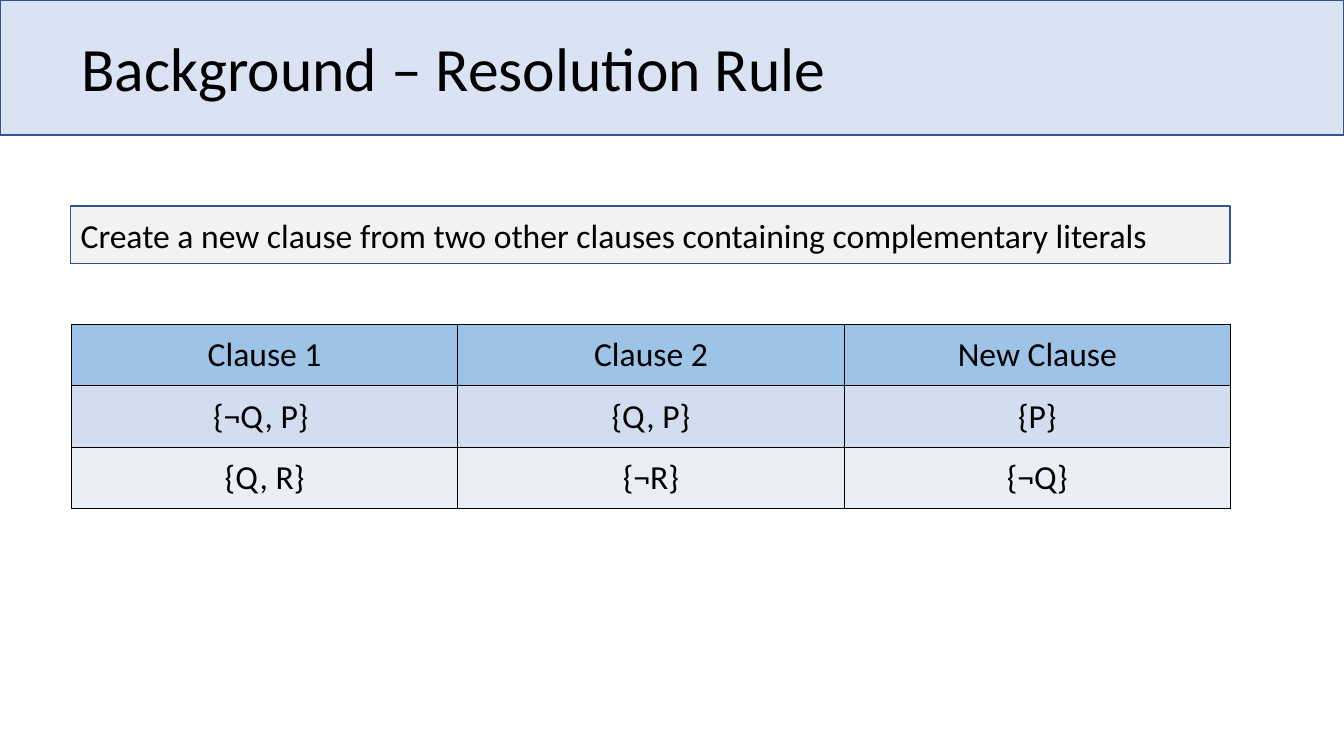
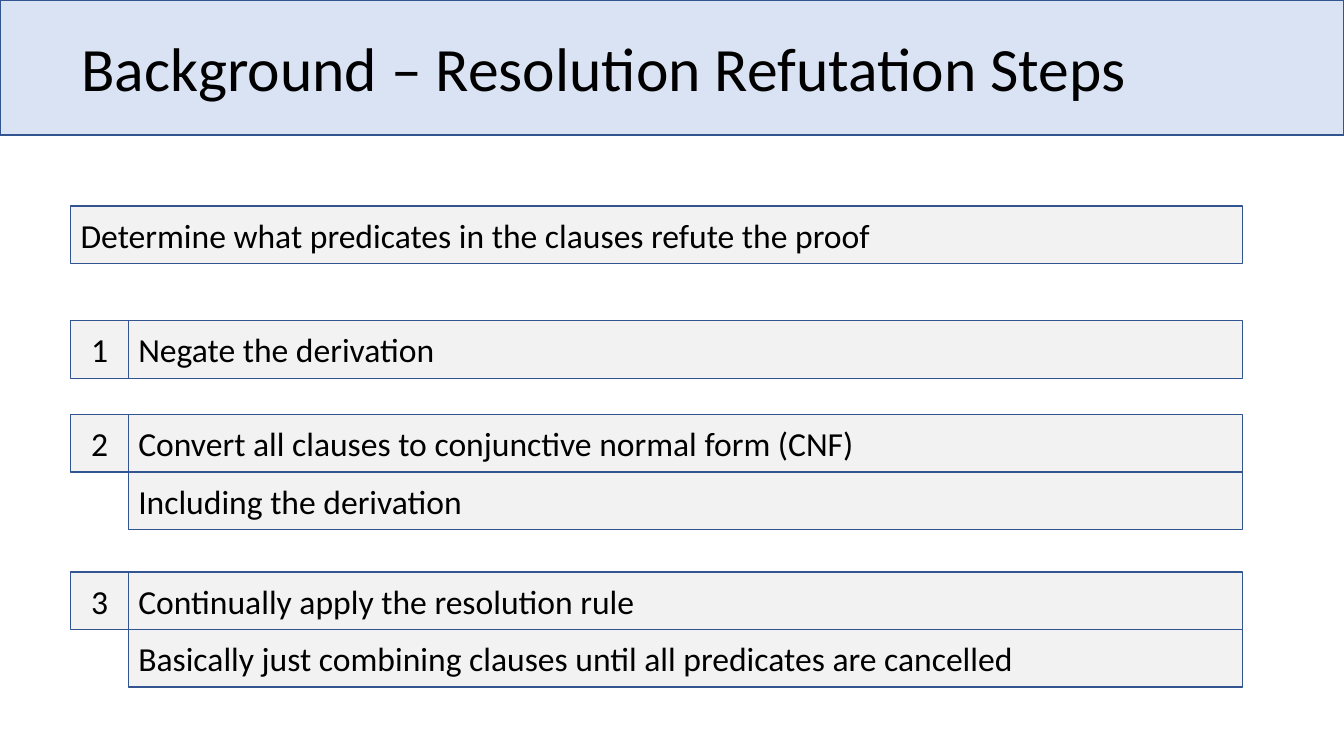
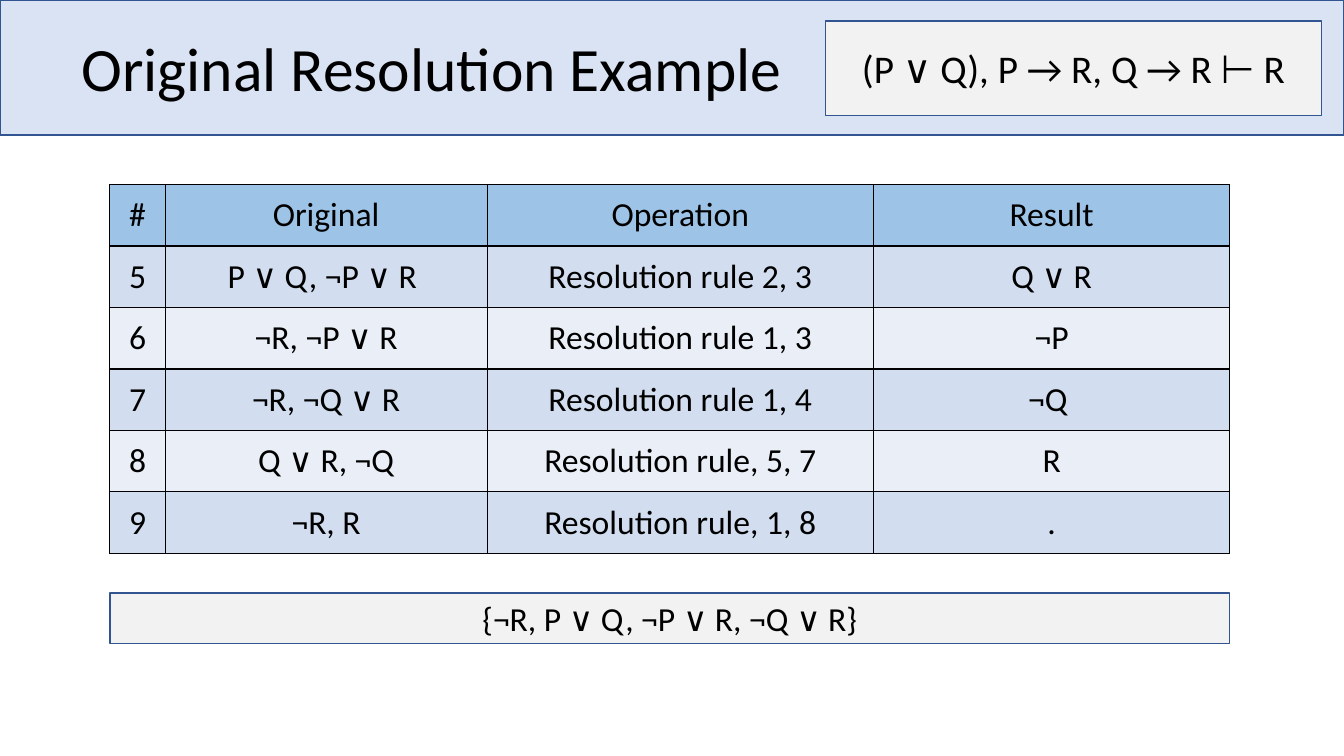
import lxml.etree
import pptx
import pptx.dml.color
import pptx.enum.shapes
import pptx.enum.text
import pptx.oxml.ns
import pptx.util

Pt = pptx.util.Pt
ALIGN = pptx.enum.text.PP_ALIGN
MIDDLE = pptx.enum.text.MSO_ANCHOR.MIDDLE

# Shared look
COLORS = {
    "band": "DAE3F3",
    "box": "F2F2F2",
    "outline": "325491",
    "text": "000000",
    "border": "000000",
    "header": "9DC3E6",
    "odd_row": "D2DEEF",
    "even_row": "EAEFF7",
}
FONT = "Calibri"
TITLE_SIZE, TEXT_SIZE, FORMULA_SIZE = 44, 24, 28
SLIDE_WIDTH, SLIDE_HEIGHT = 960, 540
BAND_HEIGHT = 96.5
LEFT = 50.5
BOX_TOP, BOX_HEIGHT = 147, 41.2
ROW_HEIGHT = 43.92


def color(name):
    return pptx.dml.color.RGBColor.from_string(COLORS[name])


def write(frame, text, size=TEXT_SIZE, align=ALIGN.LEFT):
    """Put one formatted run in the first paragraph of a text frame."""
    paragraph = frame.paragraphs[0]
    paragraph.alignment = align
    run = paragraph.add_run()
    run.text = text
    run.font.name = FONT
    run.font.size = Pt(size)
    run.font.color.rgb = color("text")
    return paragraph


def add_rectangle(shapes, left, top, width, height, fill):
    rectangle = shapes.add_shape(
        pptx.enum.shapes.MSO_SHAPE.RECTANGLE,
        Pt(left), Pt(top), Pt(width), Pt(height))
    rectangle.shadow.inherit = False
    rectangle.fill.solid()
    rectangle.fill.fore_color.rgb = color(fill)
    rectangle.line.color.rgb = color("outline")
    rectangle.line.width = Pt(1)
    return rectangle


def add_box(shapes, text, left, top, width, height=BOX_HEIGHT,
            size=TEXT_SIZE, align=ALIGN.LEFT):
    box = add_rectangle(shapes, left, top, width, height, "box")
    box.text_frame.word_wrap = True
    box.text_frame.vertical_anchor = MIDDLE
    write(box.text_frame, text, size, align)


def add_step(slide, number, lines, top, right):
    """Group a numbered square with its stacked lines of text."""
    shapes = slide.shapes.add_group_shape().shapes
    text_left = LEFT + BOX_HEIGHT
    for index, line in enumerate(lines):
        add_box(shapes, line, text_left, top + index * BOX_HEIGHT,
                right - text_left)
    add_box(shapes, str(number), LEFT, top, BOX_HEIGHT, align=ALIGN.CENTER)


def set_borders(cell):
    properties = cell._tc.get_or_add_tcPr()
    for side in ("a:lnL", "a:lnR", "a:lnT", "a:lnB"):
        line = lxml.etree.SubElement(
            properties, pptx.oxml.ns.qn(side), w=str(Pt(1)))
        fill = lxml.etree.SubElement(line, pptx.oxml.ns.qn("a:solidFill"))
        lxml.etree.SubElement(
            fill, pptx.oxml.ns.qn("a:srgbClr"), val=COLORS["border"])


def add_table(slide, rows, left, top, widths):
    table = slide.shapes.add_table(
        len(rows), len(widths), Pt(left), Pt(top),
        Pt(sum(widths)), Pt(ROW_HEIGHT * len(rows))).table
    table.first_row = table.horz_banding = False
    for column, width in zip(table.columns, widths):
        column.width = Pt(width)
    for row_index, texts in enumerate(rows):
        table.rows[row_index].height = Pt(ROW_HEIGHT)
        band = "odd_row" if row_index % 2 else "even_row"
        for column_index, text in enumerate(texts):
            cell = table.cell(row_index, column_index)
            set_borders(cell)
            cell.fill.solid()
            cell.fill.fore_color.rgb = color(band if row_index else "header")
            cell.vertical_anchor = MIDDLE
            write(cell.text_frame, text, align=ALIGN.CENTER)


def add_titled_slide(presentation, text):
    slide = presentation.slides.add_slide(presentation.slide_layouts[5])
    title = slide.shapes.title
    title.left, title.top = Pt(51), Pt(-1)
    title.width, title.height = Pt(828), Pt(104.5)
    title.text_frame.auto_size = pptx.enum.text.MSO_AUTO_SIZE.NONE
    title.text_frame.vertical_anchor = MIDDLE
    write(title.text_frame, text, TITLE_SIZE).line_spacing = 0.9
    # The band lies behind the title
    band = add_rectangle(slide.shapes, 0, 0, SLIDE_WIDTH, BAND_HEIGHT, "band")
    title.element.addprevious(band.element)
    return slide


def build_rule_slide(presentation):
    slide = add_titled_slide(presentation, "Background – Resolution Rule")
    add_box(slide.shapes,
            "Create a new clause from two other clauses containing "
            "complementary literals", LEFT, BOX_TOP, 828)
    rows = [
        ("Clause 1", "Clause 2", "New Clause"),
        ("{¬Q, P} ", "{Q, P}", "{P}"),
        ("{Q, R}", "{¬R}", "{¬Q}"),
    ]
    add_table(slide, rows, 51, 231.7, [276] * 3)


def build_steps_slide(presentation):
    slide = add_titled_slide(
        presentation, "Background – Resolution Refutation Steps")
    width = 837
    add_box(slide.shapes,
            "Determine what predicates in the clauses refute the proof",
            LEFT, BOX_TOP, width)
    steps = [
        (229, ["Negate the derivation"]),
        (296, ["Convert all clauses to conjunctive normal form (CNF)",
               "Including the derivation"]),
        (408.5, ["Continually apply the resolution rule",
                 "Basically just combining clauses until all predicates "
                 "are cancelled"]),
    ]
    for number, (top, lines) in enumerate(steps, start=1):
        add_step(slide, number, lines, top, LEFT + width)


def build_example_slide(presentation):
    slide = add_titled_slide(presentation, "Original Resolution Example")
    add_box(slide.shapes, "(P ∨ Q), P → R, Q → R ⊢ R", 589.5, 15, 354.5, 67.5,
            FORMULA_SIZE, ALIGN.CENTER)
    rows = [
        ("#", "Original", "Operation", "Result"),
        ("5", "P ∨ Q, ¬P ∨ R ", "Resolution rule 2, 3", "Q ∨ R"),
        ("6", "¬R, ¬P ∨ R", "Resolution rule 1, 3", "¬P"),
        ("7", "¬R, ¬Q ∨ R", "Resolution rule 1, 4", "¬Q "),
        ("8", "Q ∨ R, ¬Q", "Resolution rule, 5, 7", "R"),
        ("9", "¬R, R", "Resolution rule, 1, 8", "."),
    ]
    left, widths = 78.5, [39.5, 230, 276, 254.5]
    add_table(slide, rows, left, 131.8, widths)
    add_box(slide.shapes, "{¬R, P ∨ Q, ¬P ∨ R, ¬Q ∨ R}", left, 423.5,
            sum(widths), 36, align=ALIGN.CENTER)


def main():
    presentation = pptx.Presentation()
    presentation.slide_width = Pt(SLIDE_WIDTH)
    presentation.slide_height = Pt(SLIDE_HEIGHT)
    build_rule_slide(presentation)
    build_steps_slide(presentation)
    build_example_slide(presentation)
    presentation.save("out.pptx")


if __name__ == "__main__":
    main()
